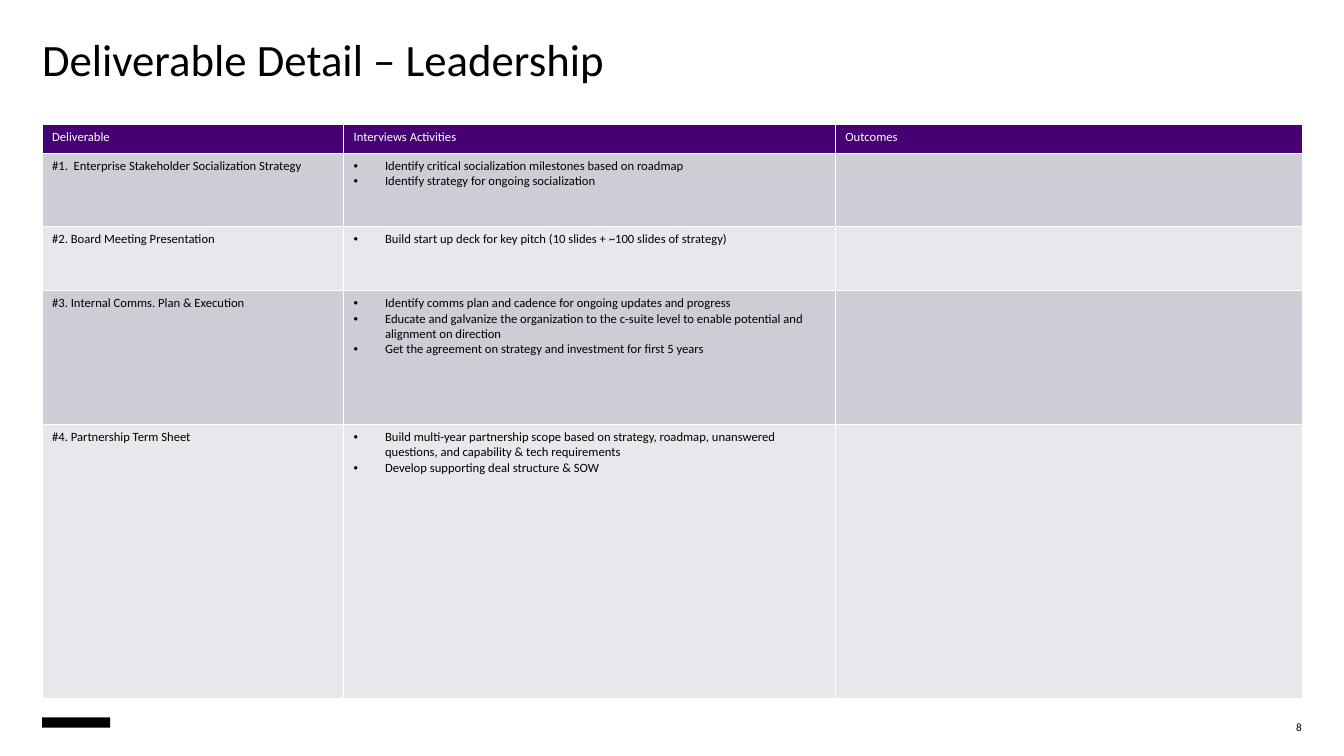
from lxml import etree
from pptx import Presentation
from pptx import util as u
from pptx.dml.color import RGBColor
from pptx.enum import shapes, text
from pptx.oxml import ns

HEADERS = ["Deliverable", "Interviews Activities", "Outcomes"]
DELIVERABLES = [
    ("#1.  Enterprise Stakeholder Socialization Strategy", [
        "Identify critical socialization milestones based on roadmap",
        "Identify strategy for ongoing socialization"]),
    ("#2. Board Meeting Presentation", [
        "Build start up deck for key pitch (10 slides + ~100 slides of strategy)"]),
    ("#3. Internal Comms. Plan & Execution", [
        "Identify comms plan and cadence for ongoing updates and progress",
        "Educate and galvanize the organization to the c-suite level to enable "
        "potential and alignment on direction",
        "Get the agreement on strategy and investment for first 5 years"]),
    ("#4. Partnership Term Sheet", [
        "Build multi-year partnership scope based on strategy, roadmap, unanswered "
        "questions, and capability & tech requirements",
        "Develop supporting deal structure & SOW"]),
]
COLUMN_WIDTHS = [7.6, 12.39, 11.77]
ROW_HEIGHTS = [0.73, 1.85, 1.62, 3.37, 6.91]


def color(value):
    return RGBColor.from_string(value)


def add_element(parent, tag, **attributes):
    return etree.SubElement(parent, ns.qn(tag), attributes)


def write(para, words, size=9, ink="000000", bullet=False, after=None,
          spacing=None, align=None):
    if bullet:
        properties = para._p.get_or_add_pPr()
        properties.set("marL", str(u.Cm(0.79)))
        properties.set("indent", str(-u.Cm(0.79)))
        add_element(properties, "a:buFont", typeface="Arial")
        add_element(properties, "a:buChar", char="•")
    if after is not None:
        para.space_after = u.Pt(after)
    if spacing is not None:
        para.line_spacing = spacing
    if align is not None:
        para.alignment = align
    span = para.add_run()
    span.text = words
    span.font.name = "Calibri"
    span.font.size = u.Pt(size)
    span.font.color.rgb = color(ink)


class DeliverablePage:
    header_fill = "460073"
    band_fills = ["CFCCD5", "E9E7EB"]
    border = "FFFFFF"

    def __init__(self, deck):
        self.page = deck.slides.add_slide(deck.slide_layouts[6])

    def label(self, words, left, top, width, height,
              anchor=text.MSO_ANCHOR.TOP, wrap=True, **style):
        box = self.page.shapes.add_textbox(*map(u.Cm, (left, top, width, height)))
        frame = box.text_frame
        frame.margin_left = frame.margin_right = 0
        frame.margin_top = frame.margin_bottom = 0
        frame.word_wrap = wrap
        frame.vertical_anchor = anchor
        write(frame.paragraphs[0], words, **style)

    def block(self, left, top, width, height, fill):
        shape = self.page.shapes.add_shape(
            shapes.MSO_SHAPE.RECTANGLE, *map(u.Cm, (left, top, width, height)))
        shape.shadow.inherit = False
        shape.fill.solid()
        shape.fill.fore_color.rgb = color(fill)
        shape.line.fill.background()

    def cell(self, cell, lines, fill, **style):
        properties = cell._tc.get_or_add_tcPr()
        for side in "LRTB":
            line = add_element(properties, f"a:ln{side}", w=str(u.Pt(1)))
            paint = add_element(line, "a:solidFill")
            add_element(paint, "a:srgbClr", val=self.border)
        cell.fill.solid()
        cell.fill.fore_color.rgb = color(fill)
        frame = cell.text_frame
        for index, words in enumerate(lines):
            para = frame.add_paragraph() if index else frame.paragraphs[0]
            write(para, words, **style)

    def table(self, left, top):
        grid = self.page.shapes.add_table(
            len(ROW_HEIGHTS), len(COLUMN_WIDTHS), u.Cm(left), u.Cm(top),
            u.Cm(sum(COLUMN_WIDTHS)), u.Cm(sum(ROW_HEIGHTS))).table
        for column, width in zip(grid.columns, COLUMN_WIDTHS):
            column.width = u.Cm(width)
        for row, height in zip(grid.rows, ROW_HEIGHTS):
            row.height = u.Cm(height)
        for index, header in enumerate(HEADERS):
            self.cell(grid.cell(0, index), [header], self.header_fill, ink="FFFFFF")
        for row, (name, activities) in enumerate(DELIVERABLES, 1):
            fill = self.band_fills[(row - 1) % 2]
            self.cell(grid.cell(row, 0), [name], fill, after=12)
            self.cell(grid.cell(row, 1), activities, fill, bullet=True)
            self.cell(grid.cell(row, 2), [], fill)


def main():
    deck = Presentation()
    deck.slide_width, deck.slide_height = u.Cm(33.87), u.Cm(19.05)
    page = DeliverablePage(deck)
    page.block(1.06, 18.08, 1.72, 0.26, "000000")
    page.label("Deliverable Detail – Leadership", 1.06, 1.06, 31.75, 2.23,
               size=32, spacing=0.8)
    page.label("8", 31.9, 18.03, 0.91, 0.56, anchor=text.MSO_ANCHOR.MIDDLE,
               wrap=False, size=8, align=text.PP_ALIGN.RIGHT)
    page.table(1.06, 3.13)
    deck.save("out.pptx")


if __name__ == "__main__":
    main()
